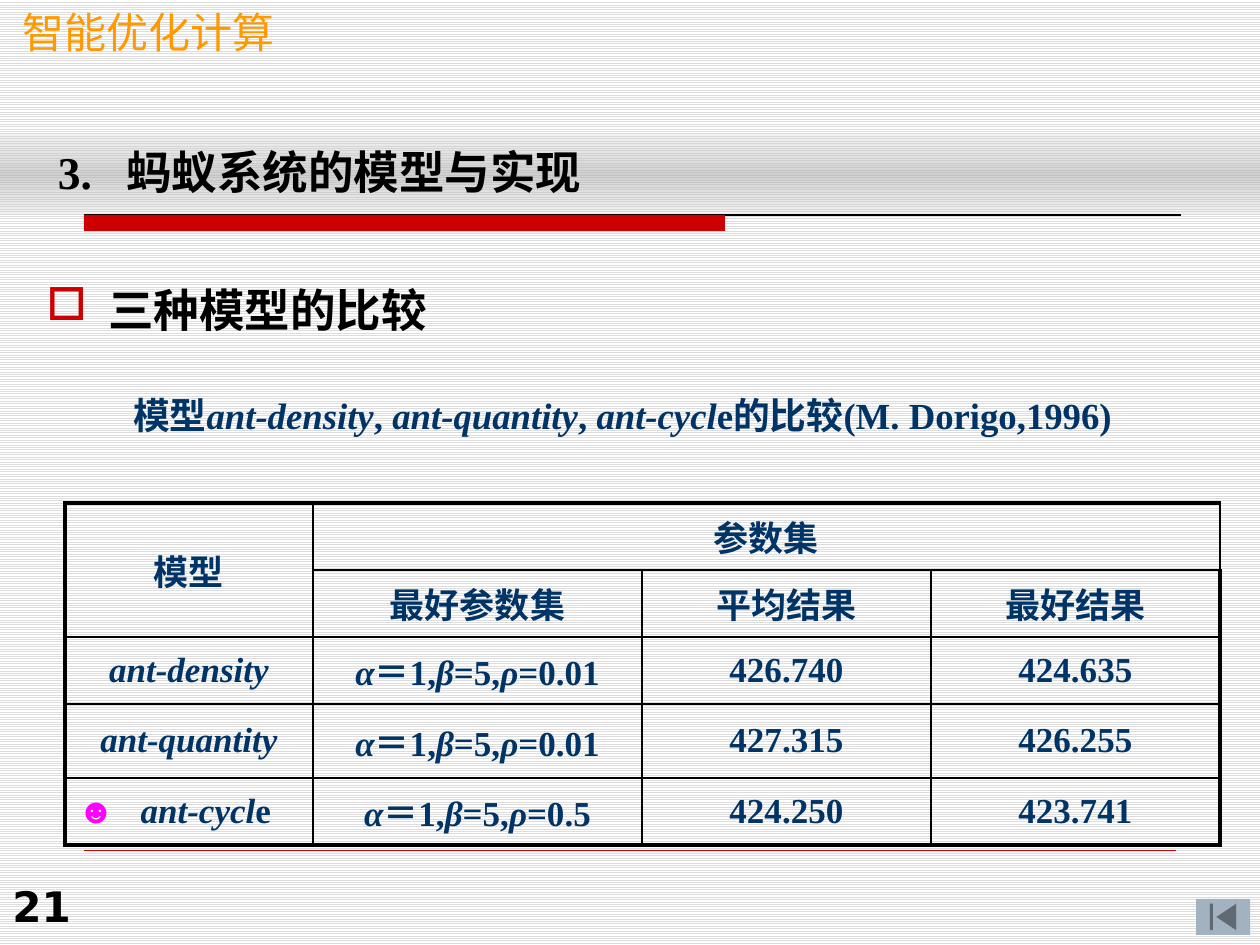
from typing import NamedTuple

from lxml import etree
from pptx import Presentation, util as u
from pptx.dml.color import RGBColor
from pptx.enum import dml, shapes, text
from pptx.oxml import ns, parse_xml

PX = 914400 / 126
COLORS = {
    "ink": "000000", "navy": "003366", "red": "CC0000", "orange": "FF9900",
    "magenta": "FF00FF", "button": "A3B2C1", "white": "FFFFFF",
    "edge": "DDDDDD", "middle": "B2B2B2",
}
SERIF = "Times New Roman"
CENTER, LEFT = text.PP_ALIGN.CENTER, text.PP_ALIGN.LEFT


class Box(NamedTuple):
    x: int
    y: int
    w: int
    h: int


class ModelResult(NamedTuple):
    model: str
    parameters: str
    average: str
    best: str


RESULTS = [
    ModelResult("*ant-density*", "*α*＝1,*β*=5,*ρ*=0.01", "426.740", "424.635"),
    ModelResult("*ant-quantity*", "*α*＝1,*β*=5,*ρ*=0.01", "427.315", "426.255"),
    ModelResult("☻\t*ant-cycl*e", "*α*＝1,*β*=5,*ρ*=0.5", "424.250", "423.741"),
]
HEADERS = [("模型", "参数集", "", ""), ("", "最好参数集", "平均结果", "最好结果")]
COLUMNS = [248, 329, 289, 289]
ROWS = [67, 67, 67, 74, 67]


def px(length: int) -> int:
    return round(length * PX)


def rgb(name: str) -> RGBColor:
    return RGBColor.from_string(COLORS[name])


def place(box: Box) -> list[int]:
    return [px(length) for length in box]


def write(paragraph, words: str, *, size: int, color: str = "ink", font: str = SERIF,
          bold: bool = True, align=LEFT, hang: int = 0, before: float = 0,
          spacing: float = 1.0) -> None:
    """Fill a paragraph; parts between asterisks are italic."""
    paragraph.alignment = align
    paragraph.space_before = u.Pt(before)
    paragraph.line_spacing = spacing
    if hang:
        properties = paragraph._p.get_or_add_pPr()
        properties.set("marL", str(px(hang)))
        properties.set("indent", str(-px(hang)))
    for index, part in enumerate(words.split("*")):
        if not part:
            continue
        run = paragraph.add_run()
        run.text = part
        run.font.size, run.font.name = u.Pt(size), font
        run.font.bold, run.font.italic = bold, index % 2 == 1
        run.font.color.rgb = rgb("magenta" if "☻" in part else color)


def add_text_box(slide, box: Box, anchor=text.MSO_ANCHOR.MIDDLE):
    frame = slide.shapes.add_textbox(*place(box)).text_frame
    frame.word_wrap = True
    frame.vertical_anchor = anchor
    return frame


def add_block(slide, kind, box: Box, color: str) -> None:
    block = slide.shapes.add_shape(kind, *place(box))
    block.shadow.inherit = False
    block.fill.solid()
    block.fill.fore_color.rgb = rgb(color)
    block.line.fill.background()


def add_rule(slide, left: int, right: int, y: int, color: str, width: float) -> None:
    rule = slide.shapes.add_connector(
        shapes.MSO_CONNECTOR.STRAIGHT, px(left), px(y), px(right), px(y))
    rule.line.color.rgb = rgb(color)
    rule.line.width = u.Pt(width)
    etree.SubElement(rule._element.spPr, ns.qn("a:effectLst"))


def add_title(slide) -> None:
    title = slide.shapes.title
    title.left, title.top, title.width, title.height = place(Box(0, 135, 1260, 79))
    stops = "".join(
        f'<a:gs pos="{at}"><a:srgbClr val="{COLORS[name]}"><a:alpha val="{alpha}"/>'
        "</a:srgbClr></a:gs>"
        for at, name, alpha in [(0, "edge", 40000), (50000, "middle", 60000),
                                (100000, "edge", 40000)])
    title._element.spPr.append(parse_xml(
        f'<a:gradFill {ns.nsdecls("a")}><a:gsLst>{stops}</a:gsLst>'
        '<a:lin ang="5400000" scaled="0"/></a:gradFill>'))
    frame = title.text_frame
    frame.auto_size = text.MSO_AUTO_SIZE.NONE
    frame.vertical_anchor = text.MSO_ANCHOR.MIDDLE
    frame.margin_left, frame.margin_top = px(58), 0
    write(frame.paragraphs[0], "3.\t蚂蚁系统的模型与实现", size=26, hang=68)


def add_bullet(paragraph, symbol: str, color: str) -> None:
    properties = paragraph._p.get_or_add_pPr()
    bullet_color = etree.SubElement(properties, ns.qn("a:buClr"))
    etree.SubElement(bullet_color, ns.qn("a:srgbClr"), val=COLORS[color])
    etree.SubElement(properties, ns.qn("a:buChar"), char=symbol)


def set_borders(cell, widths: dict[str, float]) -> None:
    properties = cell._tc.get_or_add_tcPr()
    for side, width in widths.items():
        border = etree.SubElement(properties, ns.qn(f"a:ln{side}"), w=str(u.Pt(width)))
        fill = etree.SubElement(border, ns.qn("a:solidFill"))
        etree.SubElement(fill, ns.qn("a:srgbClr"), val=COLORS["ink"])


def add_comparison(slide) -> None:
    box = Box(65, 503, sum(COLUMNS), sum(ROWS))
    table = slide.shapes.add_table(len(ROWS), len(COLUMNS), *place(box)).table
    table.first_row = table.horz_banding = False
    for column, width in zip(table.columns, COLUMNS):
        column.width = px(width)
    for row, height in zip(table.rows, ROWS):
        row.height = px(height)
    last_row, last_column = len(ROWS) - 1, len(COLUMNS) - 1
    for r, values in enumerate([*HEADERS, *RESULTS]):
        for c, words in enumerate(values):
            cell = table.cell(r, c)
            outer = {"L": c == 0, "R": c == last_column, "T": r == 0, "B": r == last_row}
            set_borders(cell, {side: 2.25 if edge else 1 for side, edge in outer.items()})
            cell.fill.background()
            cell.vertical_anchor = text.MSO_ANCHOR.MIDDLE
            marked = "☻" in words
            if words:
                write(cell.text_frame.paragraphs[0], words, size=20, color="navy",
                      align=LEFT if marked else CENTER, hang=63 if marked else 0)
    table.cell(0, 0).merge(table.cell(1, 0))
    table.cell(0, 1).merge(table.cell(0, last_column))


def main() -> None:
    prs = Presentation()
    prs.slide_width, prs.slide_height = u.Inches(10), u.Inches(7.5)
    slide = prs.slides.add_slide(prs.slide_layouts[5])

    # Striped background
    backdrop = slide.background.fill
    backdrop.patterned()
    backdrop.pattern = dml.MSO_PATTERN.LIGHT_HORIZONTAL
    backdrop.fore_color.rgb, backdrop.back_color.rgb = rgb("edge"), rgb("white")

    # Course name, title band and rules
    course = add_text_box(slide, Box(10, 0, 511, 63))
    write(course.paragraphs[0], "智能优化计算", size=24, color="orange",
          font="Arial", bold=False)
    add_title(slide)
    add_rule(slide, 84, 1181, 215, "ink", 0.75)
    add_block(slide, shapes.MSO_SHAPE.RECTANGLE, Box(84, 215, 641, 16), "red")
    add_rule(slide, 84, 1176, 850, "red", 0.25)

    # Heading and table caption
    body = add_text_box(slide, Box(34, 265, 1177, 655), text.MSO_ANCHOR.TOP)
    heading = body.paragraphs[0]
    write(heading, "三种模型的比较", size=26, hang=62, before=2.6, spacing=1.2)
    add_bullet(heading, "□", "red")
    write(body.add_paragraph(),
          "模型*ant-density*, *ant-quantity*, *ant-cycl*e的比较(M. Dorigo,1996)",
          size=21, color="navy", align=CENTER, before=27, spacing=1.2)

    add_comparison(slide)

    # Page number and return button
    page = add_text_box(slide, Box(0, 873, 273, 66))
    write(page.paragraphs[0], "21", size=24, font="DejaVu Sans")
    add_block(slide, shapes.MSO_SHAPE.ACTION_BUTTON_BEGINNING,
              Box(1196, 899, 54, 36), "button")

    prs.save("out.pptx")


if __name__ == "__main__":
    main()
